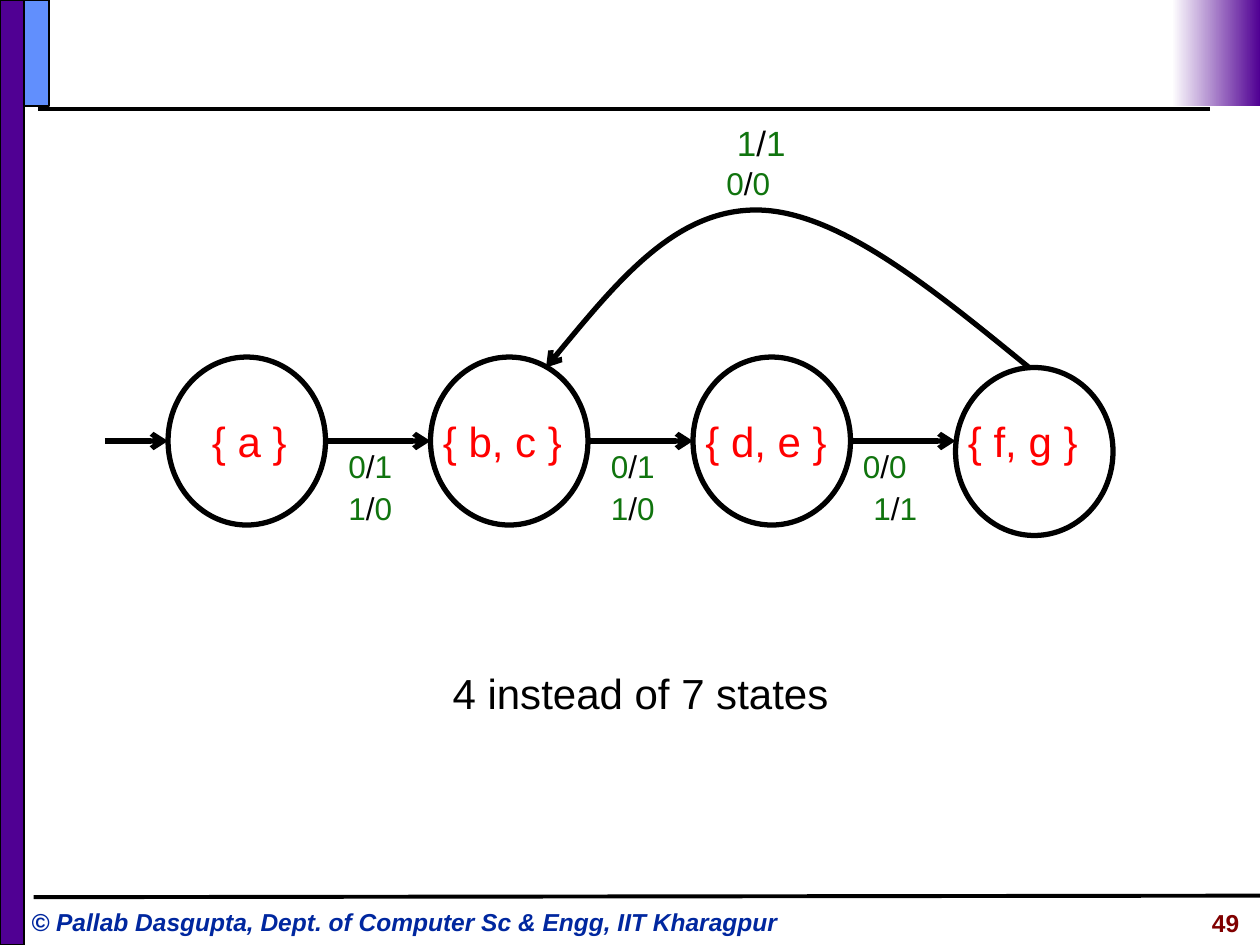
from lxml import etree
from pptx import Presentation, util as u
from pptx.dml.color import RGBColor
from pptx.enum import shapes, text
from pptx.oxml.ns import qn

BLACK = RGBColor(0, 0, 0)
WHITE = RGBColor(255, 255, 255)
GREEN = RGBColor(0x10, 0x74, 0x0E)
RED = RGBColor(255, 0, 0)
PURPLE = RGBColor(0x50, 0, 0x93)
BLUE = RGBColor(0x61, 0x8F, 0xFD)
NAVY = RGBColor(0, 0x27, 0x9F)
MAROON = RGBColor(0x80, 0, 0)

# The slide is a grid of 120 columns by 90 rows
COLS, ROWS = 120, 90
CELL = u.Inches(10) // COLS
STATE_W, STATE_H, PITCH = 15, 16, 25
FIRST_COL, STATE_ROW, AXIS_ROW = 16, 34, 42


def grid(*cells):
    return [round(c * CELL) for c in cells]


def add_text(s, runs, box, size=18, align=text.PP_ALIGN.LEFT, bold=False, italic=False):
    """Add a text box at a grid box; runs is a list of (string, colour)."""
    tf = s.shapes.add_textbox(*grid(*box)).text_frame
    tf.word_wrap = True
    p = tf.paragraphs[0]
    p.alignment = align
    for string, color in runs:
        r = p.add_run()
        r.text = string
        r.font.name = "Arial"
        r.font.size = u.Pt(size)
        r.font.bold, r.font.italic = bold, italic
        r.font.color.rgb = color


def add_label(s, label, col, row, width=8, size=18):
    """Add an input/output label with a black slash between green digits."""
    runs = [(c, BLACK if c == "/" else GREEN) for c in label]
    add_text(s, runs, (col, row, width, 5), size)


def style_line(sp, width, arrow=False):
    sp.line.color.rgb = BLACK
    sp.line.width = u.Pt(width)
    if arrow:
        ln = sp.line._get_or_add_ln()
        etree.SubElement(ln, qn("a:tailEnd"), type="arrow")


def add_shape(s, kind, box, fill=None, line=None):
    sp = s.shapes.add_shape(kind, *grid(*box))
    sp.shadow.inherit = False
    if fill is None:
        sp.fill.background()
    else:
        sp.fill.solid()
        sp.fill.fore_color.rgb = fill
    if line is None:
        sp.line.fill.background()
    else:
        style_line(sp, line)
    return sp


def add_line(s, start, end, width=3, arrow=False):
    cx = s.shapes.add_connector(shapes.MSO_CONNECTOR.STRAIGHT, *grid(*start, *end))
    style_line(cx, width, arrow)
    etree.SubElement(cx._element.spPr, qn("a:effectLst"))


def add_curve(s, start, points):
    """Add an arrow of cubic Bézier pieces; points come in threes."""
    fb = s.shapes.build_freeform(*grid(*start))
    fb.add_line_segments([grid(*pt) for pt in points], close=False)
    sp = fb.convert_to_shape()
    sp.shadow.inherit = False
    sp.fill.background()
    style_line(sp, 3, arrow=True)
    segments = list(sp._element.iter(qn("a:lnTo")))
    for i in range(0, len(segments), 3):
        curve = etree.Element(qn("a:cubicBezTo"))
        segments[i].addprevious(curve)
        for seg in segments[i:i + 3]:
            curve.append(seg[0])
            seg.getparent().remove(seg)


def add_frame(s):
    rect = shapes.MSO_SHAPE.RECTANGLE
    add_line(s, (3.6, 10.4), (115.2, 10.4), 2.25)
    add_text(s, [("© Pallab Dasgupta, Dept. of Computer Sc & Engg, IIT Kharagpur", NAVY)],
             (1.8, 85.8, 76.4, 4.1), 14, bold=True, italic=True)
    add_shape(s, rect, (0, 0, 2.3, ROWS), PURPLE, 1)
    add_line(s, (3.2, 85.45), (COLS, 85.3), 2.25)
    add_shape(s, rect, (2.3, 0, 2.4, 10.1), BLUE, 1)
    fade = add_shape(s, rect, (111.6, 0, 8.4, 10.1))
    fade.fill.gradient()
    fade.fill.gradient_angle = 180
    for stop, color in zip(fade.fill.gradient_stops, (PURPLE, WHITE)):
        stop.color.rgb = color
    add_text(s, [("49", MAROON)], (98.2, 85.9, 21, 4.2), 14,
             text.PP_ALIGN.RIGHT, bold=True)


def add_states(s):
    # name, text inset from the state's left edge, drop below the state row
    states = [("{ a }", 3, 0), ("{ b, c }", 0, 0), ("{ d, e }", 0, 0), ("{ f, g }", 0, 1)]
    for i, (name, inset, drop) in enumerate(states):
        col = FIRST_COL + i * PITCH
        gap = PITCH - STATE_W if i else 6
        add_shape(s, shapes.MSO_SHAPE.OVAL,
                  (col, STATE_ROW + drop, STATE_W, STATE_H), line=3)
        add_text(s, [(name, RED)], (col + inset, 39, 16, 6), 24)
        add_line(s, (col - gap, AXIS_ROW), (col, AXIS_ROW), arrow=True)


def add_transitions(s):
    for col in (32, 57):
        add_label(s, "0/1", col, 42)
        add_label(s, "1/0", col, 46)
    add_label(s, "0/0", 81, 42, 10)
    add_label(s, "1/1", 82, 46)
    add_label(s, "0/0", 68, 15, 10)
    add_label(s, "1/1", 69, 11, size=20)
    add_curve(s, (98, 35), [(88.8, 27.5), (79.7, 20), (72, 20),
                            (64.3, 20), (58.2, 27.5), (52, 35)])


def main():
    prs = Presentation()
    prs.slide_width, prs.slide_height = grid(COLS, ROWS)
    s = prs.slides.add_slide(prs.slide_layouts[6])
    add_frame(s)
    add_states(s)
    add_transitions(s)
    add_text(s, [("4 instead of 7 states", BLACK)], (33, 63, 56, 6), 24,
             text.PP_ALIGN.CENTER)
    prs.save("out.pptx")


if __name__ == "__main__":
    main()
